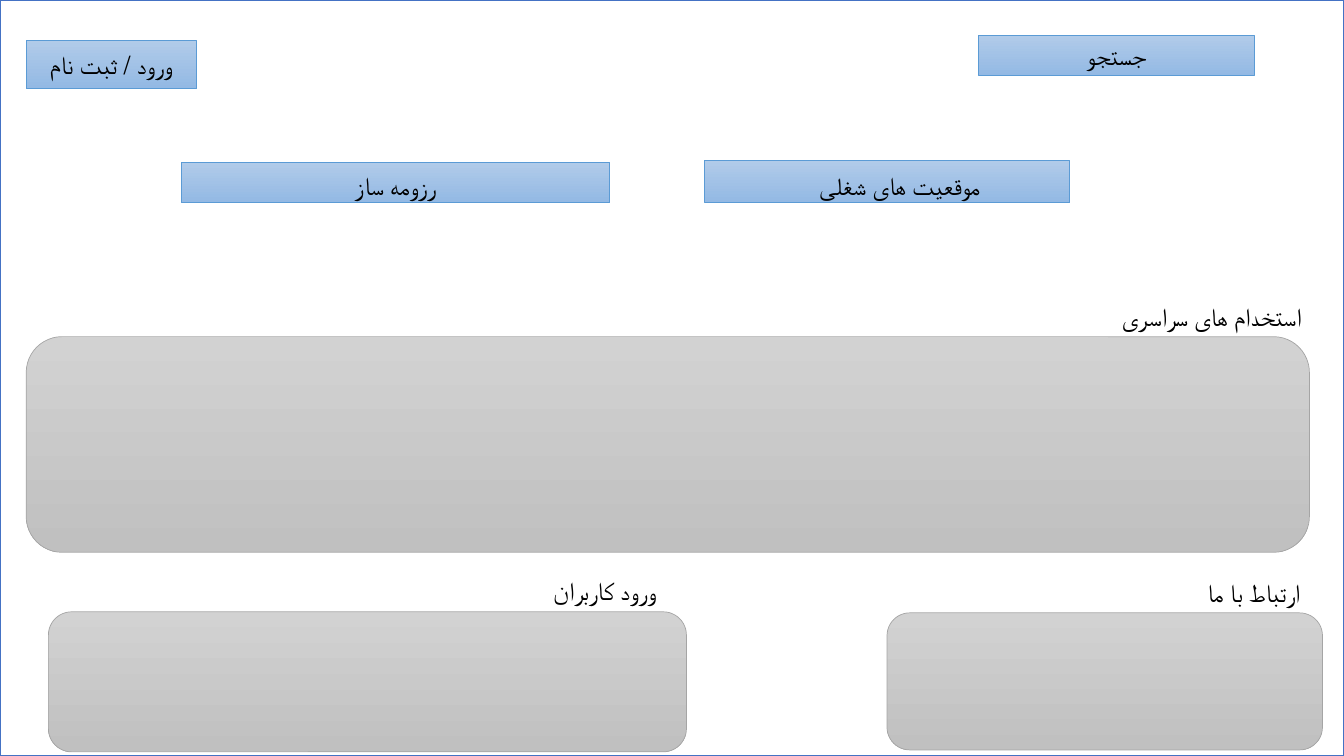
from pptx import Presentation
from pptx.dml.color import RGBColor
from pptx.enum.shapes import MSO_SHAPE
from pptx.enum.text import MSO_ANCHOR, MSO_AUTO_SIZE, PP_ALIGN
from pptx.util import Inches, Pt

WIDTH, HEIGHT = Inches(13.333), Inches(7.5)
BLUE = ("B1CBE9", "93B9E4", "5B9BD5")  # gradient top, gradient bottom, outline
GREY = ("D2D2D2", "C0C0C0", "A5A5A5")
LABEL_H = 5.33  # height of one text line, percent of the slide

# All boxes are left, top, width, height in percent of the slide.
BUTTONS = [
    (1.95, 5.33, 12.68, 6.4),
    (52.43, 21.2, 27.15, 5.6),
    (13.5, 21.47, 31.88, LABEL_H),
]
SEARCH = (72.83, 4.67, 20.48, LABEL_H)
LABELS = [
    ("ورود / ثبت نام", (-2.1, 5.87, 20.78, LABEL_H), PP_ALIGN.CENTER),
    ("موقعیت های شغلی", (55.5, 21.87, 22.88, LABEL_H), PP_ALIGN.CENTER),
    ("رزومه ساز", (18.23, 21.87, 22.43, LABEL_H), PP_ALIGN.CENTER),
    ("استخدام های سراسری", (80.63, 39.2, 16.95, LABEL_H), PP_ALIGN.RIGHT),
    ("ارتباط با ما", (59.63, 75.73, 37.88, LABEL_H), PP_ALIGN.RIGHT),
    ("ورود کاربران", (40.43, 75.47, 19.2, LABEL_H), PP_ALIGN.LEFT),
]
PANELS = [
    (1.95, 44.53, 95.48, 28.53),
    (66, 81.07, 32.4, 18.13),
    (3.6, 80.93, 47.48, 18.53),
]


def rgb(value):
    """Turn a hex string into a colour."""
    return RGBColor.from_string(value)


def place(box):
    """Turn percentages of the slide into lengths."""
    return [round(share * side / 100)
            for share, side in zip(box, (WIDTH, HEIGHT) * 2)]


def write(sp, text, align):
    """Put one line of black 18 pt text into a shape or text box."""
    tf = sp.text_frame
    tf.word_wrap = True
    tf.auto_size = MSO_AUTO_SIZE.SHAPE_TO_FIT_TEXT
    p = tf.paragraphs[0]
    p.text = text
    p.alignment = align
    p.font.size, p.font.name = Pt(18), "Calibri"
    p.font.color.rgb = rgb("000000")


def add_label(s, text, box, align):
    """Add a free-standing text box."""
    write(s.shapes.add_textbox(*place(box)), text, align)


def add_box(s, box, line, width, kind=MSO_SHAPE.RECTANGLE):
    """Add an outlined shape without a shadow."""
    sp = s.shapes.add_shape(kind, *place(box))
    sp.shadow.inherit = False
    sp.line.color.rgb = rgb(line)
    sp.line.width = Pt(width)
    return sp


def add_shaded(s, box, colours, kind=MSO_SHAPE.RECTANGLE):
    """Add a shape shaded from top to bottom."""
    top, bottom, line = colours
    sp = add_box(s, box, line, 0.5, kind)
    sp.fill.gradient()
    sp.fill.gradient_angle = 270
    for stop, colour in zip(sp.fill.gradient_stops, (top, bottom)):
        stop.color.rgb = rgb(colour)
    return sp


def main():
    """Build the page layout sketch and save it."""
    prs = Presentation()
    prs.slide_width, prs.slide_height = WIDTH, HEIGHT
    s = prs.slides.add_slide(prs.slide_layouts[6])

    page = add_box(s, (0, 0, 100, 100), "4472C4", 1)
    page.fill.solid()
    page.fill.fore_color.rgb = rgb("FFFFFF")

    for box in BUTTONS:
        add_shaded(s, box, BLUE)
    search = add_shaded(s, SEARCH, BLUE)
    search.text_frame.vertical_anchor = MSO_ANCHOR.MIDDLE
    write(search, "جستجو", PP_ALIGN.CENTER)

    for text, box, align in LABELS:
        add_label(s, text, box, align)
    for box in PANELS:
        add_shaded(s, box, GREY, MSO_SHAPE.ROUNDED_RECTANGLE)

    prs.save("out.pptx")


main()
